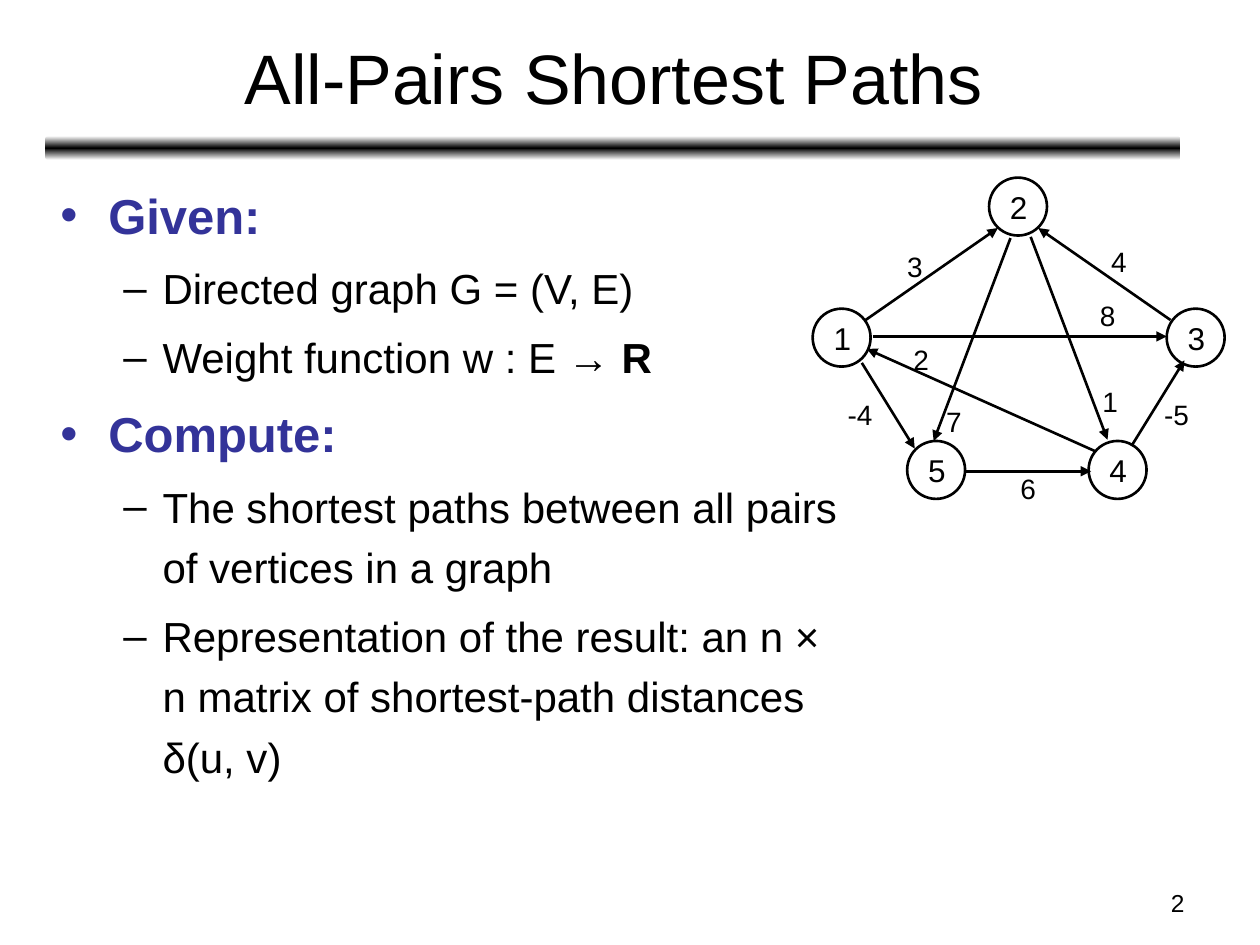
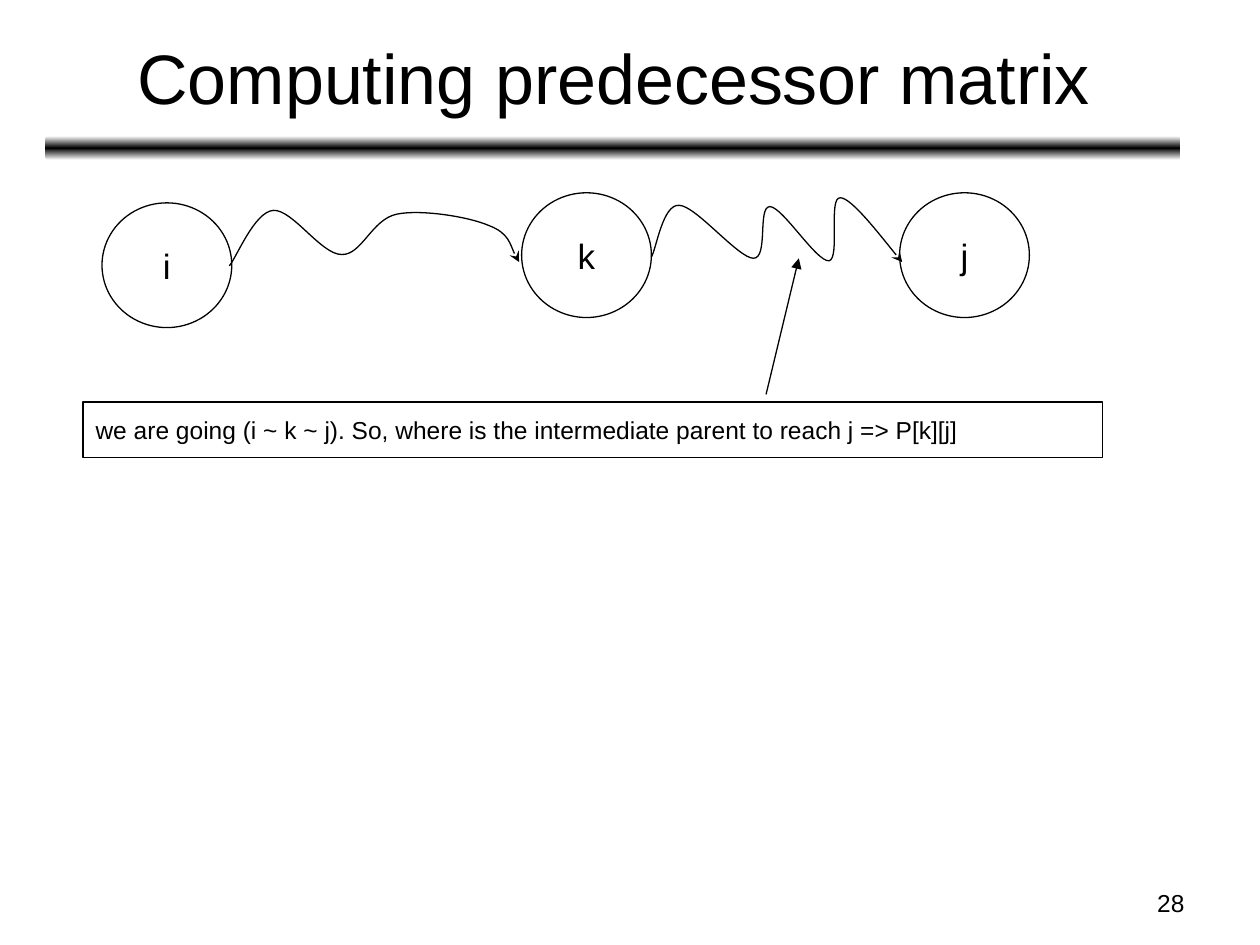
"""Build two slides on all-pairs shortest paths."""
from copy import deepcopy
from typing import NamedTuple

from lxml.etree import SubElement
from pptx import Presentation
from pptx.dml.color import RGBColor
from pptx.enum.shapes import MSO_CONNECTOR, MSO_SHAPE
from pptx.enum.text import MSO_ANCHOR, MSO_AUTO_SIZE, PP_ALIGN
from pptx.oxml.ns import qn
from pptx.util import Pt

PX = 9144
FONT = "Arial"
BLACK, WHITE, BLUE = "000000", "FFFFFF", "333399"
LEFT, MID, RIGHT = PP_ALIGN.LEFT, PP_ALIGN.CENTER, PP_ALIGN.RIGHT
CENTRE, TOP = MSO_ANCHOR.MIDDLE, MSO_ANCHOR.TOP
OVAL, RECT, ROUND = MSO_SHAPE.OVAL, MSO_SHAPE.RECTANGLE, MSO_SHAPE.ROUNDED_RECTANGLE
LINE = MSO_CONNECTOR.STRAIGHT
FIXED = MSO_AUTO_SIZE.NONE


class Box(NamedTuple):
    x: int
    y: int
    w: int
    h: int


class Node(NamedTuple):
    name: str
    x: int
    y: int


class Edge(NamedTuple):
    start: tuple[int, int]
    end: tuple[int, int]
    cost: str
    x: int
    y: int


class Level(NamedTuple):
    mark: str
    color: str
    size: int
    bold: bool
    left: int
    hang: int
    gap: float


class Item(NamedTuple):
    level: int
    text: str
    tail: str = ""


LEVELS = (
    Level("•", BLUE, 28, True, 38, 38, 5.6),
    Level("–", BLACK, 24, False, 81, 31, 4.8),
)
ITEMS = (
    Item(0, "Given:"),
    Item(1, "Directed graph G = (V, E)"),
    Item(1, "Weight function w : E → ", "R"),
    Item(0, "Compute:"),
    Item(1, "The shortest paths between all pairs of vertices in a graph"),
    Item(1, "Representation of the result: an n × n matrix of shortest-path distances δ(u, v)"),
)
NODES = (
    Node("1", 645, 245),
    Node("2", 785, 141),
    Node("3", 926, 245),
    Node("5", 720, 350),
    Node("4", 864, 350),
)
EDGES = (
    Edge((687, 254), (792, 181), "3", 710, 193),
    Edge((684, 288), (726, 356), "-4", 663, 311),
    Edge((802, 189), (741, 350), "7", 741, 316),
    Edge((767, 374), (866, 374), "6", 800, 369),
    Edge((818, 188), (879, 349), "1", 865, 300),
    Edge((869, 358), (688, 277), "2", 715, 267),
    Edge((929, 254), (824, 181), "4", 872, 189),
    Edge((898, 354), (940, 286), "-5", 914, 311),
    Edge((693, 267), (926, 267), "8", 863, 232),
)
STOPS = (Node("i", 81, 161), Node("k", 414, 153), Node("j", 714, 153))
WAVES = (
    ((182, 211), (188, 204), (202, 168), (217, 167), (232, 166), (255, 202),
     (271, 202), (287, 203), (295, 174), (315, 170), (334, 166), (372, 172),
     (388, 179), (404, 185), (408, 203), (412, 208)),
    ((517, 204), (521, 197), (526, 162), (539, 163), (552, 163), (586, 205),
     (598, 205), (610, 205), (601, 164), (611, 164), (621, 164), (648, 208),
     (658, 207), (667, 205), (657, 156), (667, 157), (676, 157), (708, 199),
     (716, 208)),
)


def tint(code: str) -> RGBColor:
    return RGBColor.from_string(code)


def scale(box: Box) -> list[int]:
    return [v * PX for v in box]


def add_run(para, text: str, size: int, color: str = BLACK, bold: bool = False) -> None:
    run = para.add_run()
    run.text = text
    font = run.font
    font.name, font.size, font.bold = FONT, Pt(size), bold
    font.color.rgb = tint(color)


def fill_text(shape, text: str, size: int, align=LEFT, anchor=CENTRE, wrap: bool = True) -> None:
    frame = shape.text_frame
    frame.word_wrap, frame.auto_size, frame.vertical_anchor = wrap, FIXED, anchor
    para = frame.paragraphs[0]
    para.alignment = align
    add_run(para, text, size)


def place(shape, box: Box) -> None:
    shape.left, shape.top, shape.width, shape.height = scale(box)


def ink(shape, width: float, head: str = "") -> None:
    shape.line.color.rgb = tint(BLACK)
    shape.line.width = Pt(width)
    if head:
        SubElement(shape._element.spPr.find(qn("a:ln")), qn("a:tailEnd"), type=head)


def add_form(slide, kind, box: Box, width: float, fill: str = ""):
    shape = slide.shapes.add_shape(kind, *scale(box))
    shape.shadow.inherit = False
    if fill:
        shape.fill.solid()
        shape.fill.fore_color.rgb = tint(fill)
    else:
        shape.fill.background()
    ink(shape, width)
    return shape


def add_label(slide, box: Box, text: str, size: int, align=LEFT, wrap: bool = True) -> None:
    fill_text(slide.shapes.add_textbox(*scale(box)), text, size, align, TOP, wrap)


def add_arrow(slide, start: tuple[int, int], end: tuple[int, int], width: float) -> None:
    ends = [v * PX for v in start + end]
    line = slide.shapes.add_connector(LINE, *ends)
    ink(line, width, "triangle")
    SubElement(line._element.spPr, qn("a:effectLst"))


def add_wave(slide, knots) -> None:
    pen = slide.shapes.build_freeform(*knots[0], scale=PX)
    pen.add_line_segments(knots[1:], close=False)
    wave = pen.convert_to_shape()
    wave.shadow.inherit = False
    wave.fill.background()
    ink(wave, 0.75, "stealth")
    legs = list(wave._element.spPr.iter(qn("a:lnTo")))
    track = legs[0].getparent()
    for i in range(0, len(legs), 3):
        curve = SubElement(track, qn("a:cubicBezTo"))
        for leg in legs[i:i + 3]:
            curve.append(leg[0])
            track.remove(leg)


def add_bar(slide) -> None:
    bar = slide.shapes.add_shape(ROUND, *scale(Box(36, 108, 901, 19)))
    bar.shadow.inherit = False
    bar.line.fill.background()
    bar.fill.gradient()
    bar.fill.gradient_angle = 90
    stops = bar._element.spPr.find(qn("a:gradFill")).find(qn("a:gsLst"))
    stops.insert(1, deepcopy(stops[0]))
    for stop, spot, color in zip(bar.fill.gradient_stops, (0, 0.5, 1), (WHITE, BLACK, WHITE)):
        stop.position = spot
        stop.color.rgb = tint(color)


def start_slide(deck, layout: int, title: str, page: str):
    slide = deck.slides.add_slide(deck.slide_layouts[layout])
    add_bar(slide)
    place(slide.shapes.title, Box(37, 11, 900, 99))
    fill_text(slide.shapes.title, title, 40, MID)
    add_label(slide, Box(717, 700, 233, 35), page, 14, RIGHT)
    return slide


def add_list(slide) -> None:
    body = slide.placeholders[1]
    place(body, Box(38, 133, 640, 555))
    frame = body.text_frame
    frame.word_wrap, frame.auto_size = True, FIXED
    for i, item in enumerate(ITEMS):
        look = LEVELS[item.level]
        para = frame.add_paragraph() if i else frame.paragraphs[0]
        para.level = item.level
        props = para._p.get_or_add_pPr()
        props.set("marL", str(look.left * PX))
        props.set("indent", str(-look.hang * PX))
        SubElement(SubElement(props, qn("a:buClr")), qn("a:srgbClr"), val=look.color)
        SubElement(props, qn("a:buChar"), char=look.mark)
        para.line_spacing = 1.2
        para.space_before = Pt(look.gap if i else 0)
        add_run(para, item.text, look.size, look.color, look.bold)
        if item.tail:
            add_run(para, item.tail, look.size, look.color, True)


def draw_graph(slide) -> None:
    for node in NODES:
        ring = add_form(slide, OVAL, Box(node.x, node.y, 46, 46), 1.5)
        fill_text(ring, node.name, 18, MID)
    for edge in EDGES:
        add_arrow(slide, edge.start, edge.end, 1.5)
        wide = 24 + 8 * len(edge.cost)
        add_label(slide, Box(edge.x, edge.y, wide, 37), edge.cost, 16, wrap=False)


def draw_route(slide) -> None:
    for stop in STOPS:
        ring = add_form(slide, OVAL, Box(stop.x, stop.y, 103, 99), 0.75, WHITE)
        fill_text(ring, stop.name, 20, MID)
    for wave in WAVES:
        add_wave(slide, wave)
    note = add_form(slide, RECT, Box(66, 319, 809, 44), 0.75)
    fill_text(note, "we are going (i ~ k ~ j). So, where is the intermediate parent "
              "to reach j => P[k][j]", 14)
    add_arrow(slide, (608, 313), (634, 205), 0.75)


def main() -> None:
    deck = Presentation()
    deck.slide_width, deck.slide_height = 1000 * PX, 750 * PX
    paths = start_slide(deck, 1, "All-Pairs Shortest Paths", "2")
    add_list(paths)
    draw_graph(paths)
    draw_route(start_slide(deck, 5, "Computing predecessor matrix", "28"))
    deck.save("out.pptx")


if __name__ == "__main__":
    main()
